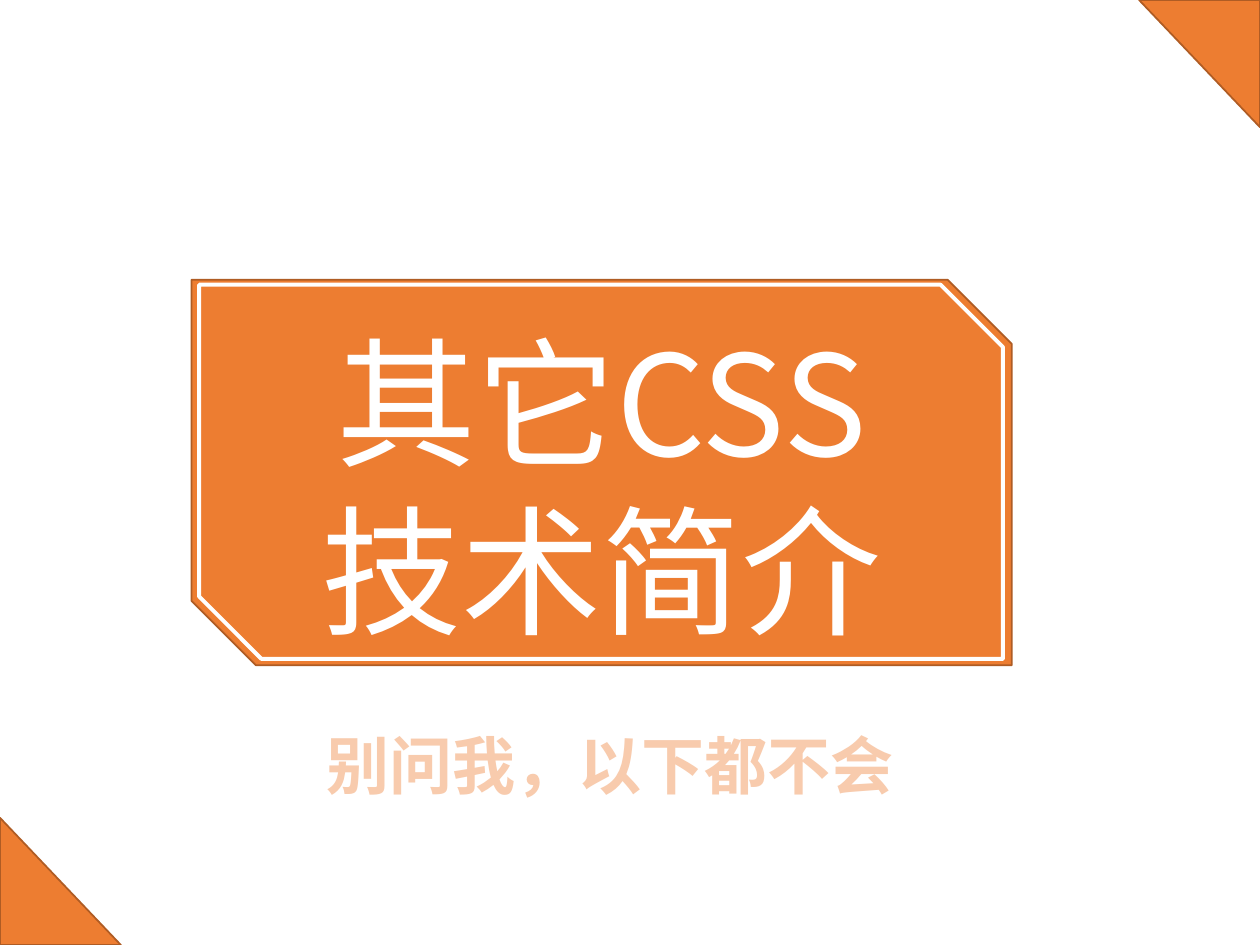
from lxml import etree
from pptx import Presentation
from pptx.dml.color import RGBColor
from pptx.enum.shapes import MSO_SHAPE
from pptx.enum.text import MSO_ANCHOR, MSO_AUTO_SIZE, PP_ALIGN
from pptx.oxml.ns import qn
from pptx.util import Pt

SNIP = MSO_SHAPE.SNIP_2_DIAG_RECTANGLE
WEDGE = MSO_SHAPE.RIGHT_TRIANGLE
MIDDLE = MSO_ANCHOR.MIDDLE
CENTER = PP_ALIGN.CENTER
FIXED = MSO_AUTO_SIZE.NONE

ORANGE = RGBColor(0xED, 0x7D, 0x31)
BROWN = RGBColor(0xAF, 0x5C, 0x24)
PEACH = RGBColor(0xF8, 0xCB, 0xAD)
WHITE = RGBColor(0xFF, 0xFF, 0xFF)

WIDE, HIGH = 720, 540
PLATE = (109.44, 159.84, 468.72, 220.32)
FRAME = (113.76, 162.72, 459.36, 213.84)
NOTE = (90.72, 411.12, 515.52, 51.12)
EDGE_W, EDGE_H = 69.12, 72.72


def write(holder, box, lines, font, size, color, bold=False, pitch=1.0, drop=0, outline=None):
    """Place a placeholder at box and fill it; drop lowers the text."""
    holder.left, holder.top, holder.width, holder.height = map(Pt, box)
    frame = holder.text_frame
    frame.auto_size = FIXED
    frame.word_wrap = True
    frame.vertical_anchor = MIDDLE
    frame.margin_top, frame.margin_bottom = Pt(3.6 + 2 * drop), Pt(3.6)
    frame.text = "\n".join(lines)
    for para in frame.paragraphs:
        para.alignment = CENTER
        para.line_spacing = pitch
        para.space_before = Pt(0)
        run = para.runs[0]
        run.font.name, run.font.size, run.font.bold = font, Pt(size), bold
        run.font.color.rgb = color
        props = run.font._element
        east = etree.Element(qn("a:ea"), typeface=font)
        props.find(qn("a:latin")).addnext(east)
        if outline:
            line = etree.Element(qn("a:ln"), w=str(Pt(1.75)))
            fill = etree.SubElement(line, qn("a:solidFill"))
            etree.SubElement(fill, qn("a:srgbClr"), val=str(outline))
            props.insert(0, line)


deck = Presentation()
deck.slide_width, deck.slide_height = Pt(WIDE), Pt(HIGH)
slide = deck.slides.add_slide(deck.slide_layouts[0])
shapes = slide.shapes
title, note = slide.placeholders

for kind, box, turn, fill, edge, width in (
    (SNIP, PLATE, 0, ORANGE, BROWN, 1),
    (WEDGE, (0, HIGH - EDGE_H, EDGE_W, EDGE_H), 0, ORANGE, BROWN, 1),
    (WEDGE, (WIDE - EDGE_W, 0, EDGE_W, EDGE_H), 180, ORANGE, BROWN, 1),
    (SNIP, FRAME, 0, None, WHITE, 2.25),
):
    shape = shapes.add_shape(kind, *map(Pt, box))
    shape.rotation = turn
    shape.shadow.inherit = False
    shape.line.color.rgb = edge
    shape.line.width = Pt(width)
    if fill:
        shape.fill.solid()
        shape.fill.fore_color.rgb = fill
    else:
        shape.fill.background()

write(title, PLATE, ["其它CSS", "技术简介"], "Noto Sans CJK SC", 80, WHITE,
      pitch=Pt(96), drop=7)
write(note, NOTE, ["别问我，以下都不会"], "Calibri", 36, PEACH,
      bold=True, outline=ORANGE)

# The text lies in front of the plate
for holder in (title, note):
    shapes._spTree.append(holder._element)

deck.save("out.pptx")
